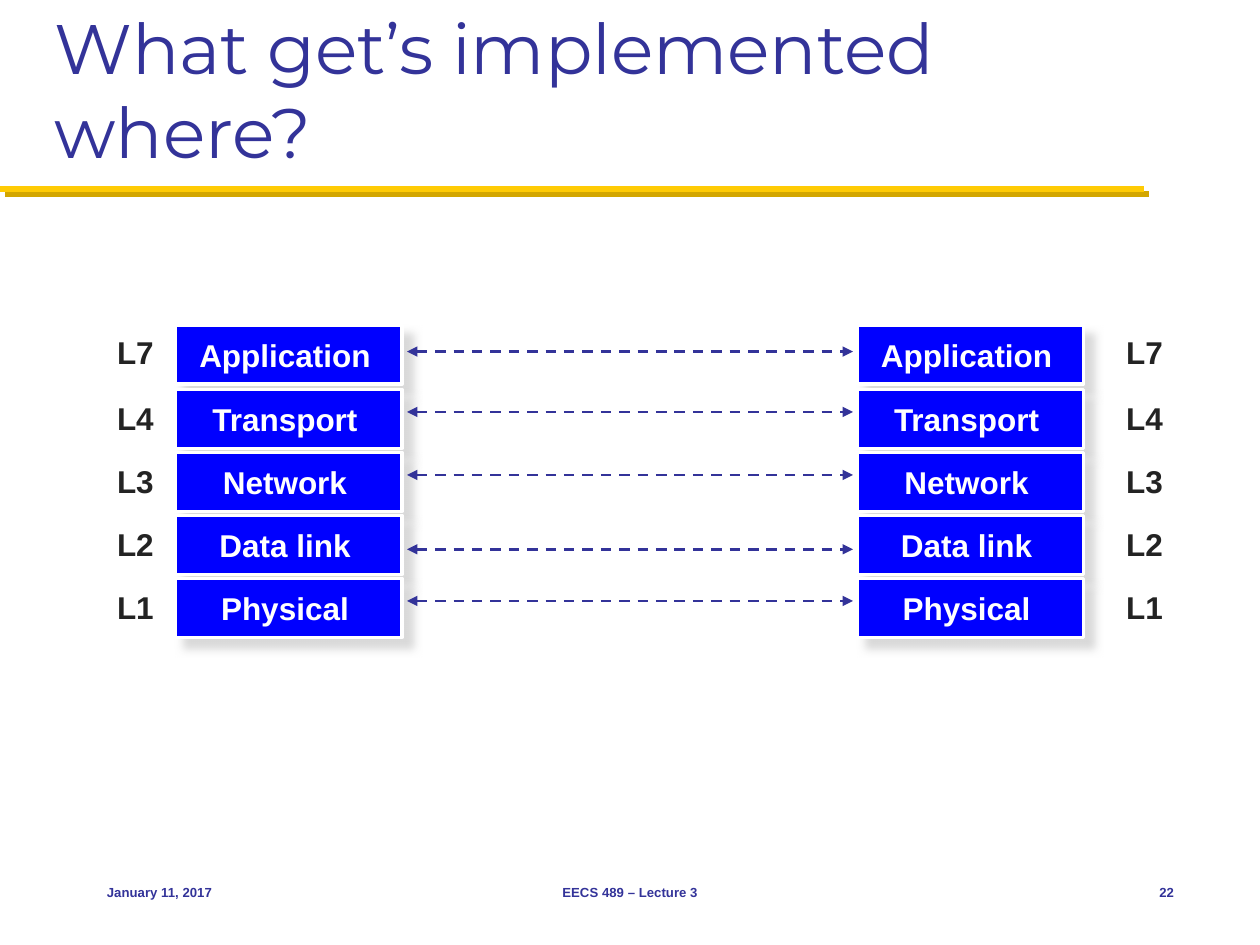
from lxml.etree import SubElement
from pptx import Presentation
from pptx.dml.color import RGBColor
from pptx.enum.dml import MSO_LINE
from pptx.enum.shapes import MSO_CONNECTOR, MSO_SHAPE
from pptx.enum.text import MSO_ANCHOR, MSO_AUTO_SIZE, PP_ALIGN
from pptx.oxml.ns import qn
from pptx.util import Pt

# Content
TITLE = "What get’s implemented where?"
# layer name, level, label width, box top, level top, arrow height
LAYERS = [
    ("Application", "L7", 121.7, 185.8, 186.5, 200.9),
    ("Transport", "L4", 104.4, 222.5, 224.6, 235.4),
    ("Network", "L3", 91.4, 258.5, 260.6, 271.4),
    ("Data link", "L2", 95.8, 294.5, 296.6, 313.9),
    ("Physical", "L1", 93.6, 330.5, 332.6, 343.4),
]
# box left, level left
STACKS = [(100.1, 59.8), (489.6, 636.5)]
# text, left, width, alignment
FOOTERS = [
    ("January 11, 2017", 54, 150, PP_ALIGN.LEFT),
    ("EECS 489 – Lecture 3", 246, 228, PP_ALIGN.CENTER),
    ("22", 630, 48, PP_ALIGN.RIGHT),
]

# Formats
COLORS = {
    "navy": "333399", "gold": "FFCB05", "dark gold": "D3A600", "blue": "0000FF",
    "white": "FFFFFF", "ink": "232323", "gray": "CECECE",
}
TITLE_FONT = {"name": "Montserrat", "size": Pt(40), "bold": False}
FOOTER_FONT = {"name": "Arial", "size": Pt(7.5), "bold": True}
LAYER_FONT = {"name": "Arial", "size": Pt(18), "bold": True}
BOX_WIDTH, BOX_HEIGHT = 129.6, 33.8
LABEL_HEIGHT = 28.1
ARROW_START, ARROW_END = 232.6, 487.4


def color(name):
    return RGBColor.from_string(COLORS[name])


def add_shadow(shape, name, opacity, blur, distance):
    properties = shape._element.spPr
    for old in properties.findall(qn("a:effectLst")):
        properties.remove(old)
    effects = SubElement(properties, qn("a:effectLst"))
    shadow = SubElement(effects, qn("a:outerShdw"), blurRad=str(Pt(blur)),
                        dist=str(Pt(distance)), dir=str(45 * 60000),
                        algn="tl", rotWithShape="0")
    fill = SubElement(shadow, qn("a:srgbClr"), val=COLORS[name])
    SubElement(fill, qn("a:alpha"), val=str(opacity * 1000))


def add_line(shapes, start, end, top, name, width):
    line = shapes.add_connector(MSO_CONNECTOR.STRAIGHT,
                                Pt(start), Pt(top), Pt(end), Pt(top))
    line.line.color.rgb = color(name)
    line.line.width = Pt(width)
    SubElement(line._element.spPr, qn("a:effectLst"))
    return line


def add_rectangle(shapes, left, top, width, height, name):
    shape = shapes.add_shape(MSO_SHAPE.RECTANGLE,
                             Pt(left), Pt(top), Pt(width), Pt(height))
    shape.fill.solid()
    shape.fill.fore_color.rgb = color(name)
    shape.line.fill.background()
    shape.shadow.inherit = False
    return shape


def write(shape, text, font, name, alignment=PP_ALIGN.LEFT, **frame_format):
    frame = shape.text_frame
    for key, value in frame_format.items():
        setattr(frame, key, value)
    paragraph = frame.paragraphs[0]
    paragraph.alignment = alignment
    run = paragraph.add_run()
    run.text = text
    for key, value in font.items():
        setattr(run.font, key, value)
    run.font.color.rgb = color(name)


def add_layer(shapes, left, top, text, label_width):
    group = shapes.add_group_shape()
    box = add_rectangle(group.shapes, left, top, BOX_WIDTH, BOX_HEIGHT, "blue")
    box.line.color.rgb = color("white")
    box.line.width = Pt(2)
    add_shadow(box, "gray", 75, 5, 8)
    label = add_rectangle(group.shapes, left + (BOX_WIDTH - label_width) / 2,
                          top + (BOX_HEIGHT - LABEL_HEIGHT) / 2,
                          label_width, LABEL_HEIGHT, "blue")
    write(label, text, LAYER_FONT, "white", PP_ALIGN.CENTER,
          word_wrap=False, auto_size=MSO_AUTO_SIZE.SHAPE_TO_FIT_TEXT,
          vertical_anchor=MSO_ANCHOR.MIDDLE, margin_left=Pt(3),
          margin_right=Pt(7.2), margin_top=Pt(3), margin_bottom=Pt(3))


presentation = Presentation()
presentation.slide_width, presentation.slide_height = Pt(720), Pt(540)
slide = presentation.slides.add_slide(presentation.slide_layouts[6])
shapes = slide.shapes

# Title and rule
rule = add_line(shapes, 0, 653.8, 108, "gold", 3.5)
add_shadow(rule, "dark gold", 100, 0, 4.2)
title = shapes.add_textbox(Pt(24), Pt(12), Pt(672), Pt(90))
write(title, TITLE, TITLE_FONT, "navy",
      word_wrap=True, vertical_anchor=MSO_ANCHOR.BOTTOM)

# Footer
for text, left, width, alignment in FOOTERS:
    footer = shapes.add_textbox(Pt(left), Pt(492), Pt(width), Pt(36))
    write(footer, text, FOOTER_FONT, "navy", alignment,
          word_wrap=False, vertical_anchor=MSO_ANCHOR.MIDDLE)

# Layer stacks with their levels
for box_left, level_left in STACKS:
    for text, level, label_width, box_top, level_top, _ in LAYERS:
        add_layer(shapes, box_left, box_top, text, label_width)
        tag = add_rectangle(shapes, level_left, level_top, 36, 29, "white")
        write(tag, level, LAYER_FONT, "ink", word_wrap=False,
              auto_size=MSO_AUTO_SIZE.SHAPE_TO_FIT_TEXT,
              vertical_anchor=MSO_ANCHOR.TOP)

# Arrows between matching layers
for *_, arrow_top in LAYERS:
    arrow = add_line(shapes, ARROW_START, ARROW_END, arrow_top, "navy", 1.5)
    arrow.line.dash_style = MSO_LINE.DASH
    outline = arrow._element.spPr.find(qn("a:ln"))
    for end in ("a:headEnd", "a:tailEnd"):
        SubElement(outline, qn(end), type="triangle")

presentation.save("out.pptx")
